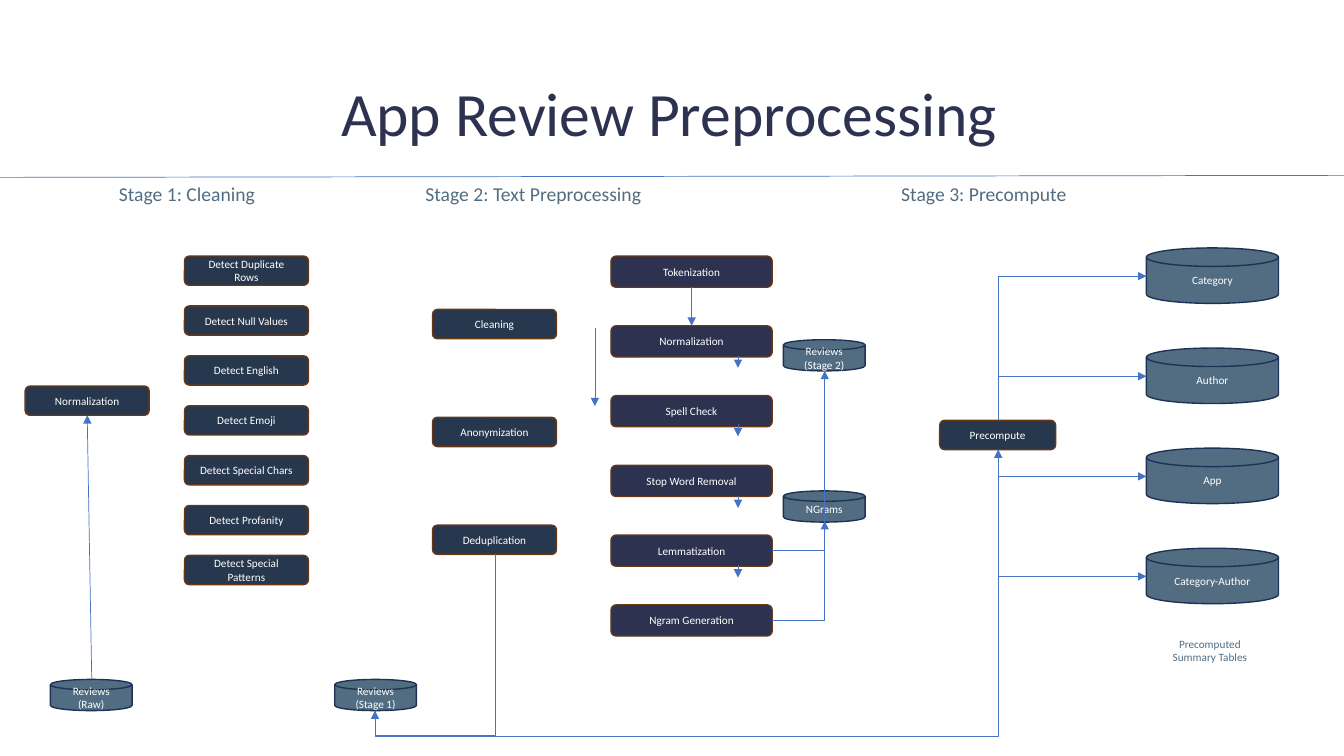
from pptx import Presentation
from pptx.dml.color import RGBColor
from pptx.enum.shapes import MSO_CONNECTOR as Link, MSO_SHAPE as Form
from pptx.enum.text import MSO_ANCHOR as Anchor, MSO_AUTO_SIZE as AutoSize, PP_ALIGN as Align
from pptx.oxml.ns import qn
from pptx.util import Inches, Pt
from lxml.etree import SubElement

WIDTH, HEIGHT = 13.33, 7.5
NAVY, INDIGO, SLATE = "27374D", "2D3250", "526D82"
BROWN, DARK_BLUE, BLUE, WHITE = "683715", "1E3256", "4472C4", "FFFFFF"

deck = Presentation()
deck.slide_width, deck.slide_height = Inches(WIDTH), Inches(HEIGHT)
page = deck.slides.add_slide(deck.slide_layouts[6])


def write(box, text, size, colour, align=Align.CENTER, spacing=1.0):
    frame = box.text_frame
    for index, words in enumerate(text.split("\n")):
        para = frame.add_paragraph() if index else frame.paragraphs[0]
        para.alignment, para.line_spacing = align, spacing
        span = para.add_run()
        span.text = words
        look = {"name": "Calibri", "size": Pt(size)}
        for name, value in look.items():
            setattr(span.font, name, value)
        span.font.color.rgb = RGBColor.from_string(colour)


def connect(start, end, bend=None, upright=False, shift=None, arrow=True):
    (x1, y1), (x2, y2) = start, end
    if upright:
        middle_x, middle_y = (x1 + x2) / 2, (y1 + y2) / 2
        half_x, half_y = (x2 - x1) / 2, (y2 - y1) / 2
        x1, x2 = middle_x - half_y, middle_x + half_y
        y1, y2 = middle_y + half_x, middle_y - half_x
    kind = Link.ELBOW if bend else Link.STRAIGHT
    line = page.shapes.add_connector(kind, *map(Inches, (x1, y1, x2, y2)))
    line.line.color.rgb = RGBColor.from_string(BLUE)
    line.line.width = Pt(0.5)
    props = line._element.spPr
    if arrow:
        SubElement(props.find(qn("a:ln")), qn("a:tailEnd"), type="triangle")
    SubElement(props, qn("a:effectLst"))
    shape = props.find(qn("a:prstGeom"))
    if bend:
        shape.set("prst", bend)
    if shift is not None:
        guides = shape.find(qn("a:avLst"))
        SubElement(guides, qn("a:gd"), name="adj1", fmla=f"val {shift}")
    if upright:
        props.find(qn("a:xfrm")).set("rot", "5400000")
    return line


title = page.shapes.add_textbox(*map(Inches, (0.89, 0.43, 11.5, 1.45)))
title.text_frame.word_wrap = True
title.text_frame.vertical_anchor = Anchor.MIDDLE
write(title, "App Review Preprocessing", 44, INDIGO, spacing=0.9)
connect((0, 1.76), (WIDTH, 1.74), arrow=False)

captions = [
    (1.08, 1.76, 1.7, 0.34, "Stage 1: Cleaning", 14, Align.LEFT),
    (4.12, 1.76, 2.58, 0.34, "Stage 2: Text Preprocessing", 14, Align.LEFT),
    (8.84, 1.76, 2, 0.34, "Stage 3: Precompute", 14, Align.LEFT),
    (11.49, 6.27, 1.02, 0.37, "Precomputed\nSummary Tables", 8, Align.CENTER),
]
for left, top, width, height, text, size, align in captions:
    caption = page.shapes.add_textbox(*map(Inches, (left, top, width, height)))
    caption.text_frame.word_wrap = False
    caption.text_frame.auto_size = AutoSize.SHAPE_TO_FIT_TEXT
    write(caption, text, size, SLATE, align)

task = (Form.ROUNDED_RECTANGLE, 1.23, 0.29, NAVY, BROWN)
step = (Form.ROUNDED_RECTANGLE, 1.6, 0.31, INDIGO, BROWN)
gate = (Form.ROUNDED_RECTANGLE, 1.15, 0.29, NAVY, BROWN)
store = (Form.FLOWCHART_MAGNETIC_DISK, 0.81, 0.31, SLATE, DARK_BLUE)
table = (Form.FLOWCHART_MAGNETIC_DISK, 1.31, 0.55, SLATE, DARK_BLUE)
columns = {
    "entry": (task, 0.25, 3.83, 0, ["Normalization"]),
    "checks": (task, 1.83, 2.54, 0.495, [
        "Detect Duplicate Rows", "Detect Null Values", "Detect English", "Detect Emoji",
        "Detect Special Chars", "Detect Profanity", "Detect Special Patterns"]),
    "cleanup": (task, 4.29, 3.07, 1.07, ["Cleaning", "Anonymization", "Deduplication"]),
    "steps": (step, 6.06, 2.54, 0.692, [
        "Tokenization", "Normalization", "Spell Check",
        "Stop Word Removal", "Lemmatization", "Ngram Generation"]),
    "precompute": (gate, 9.32, 4.17, 0, ["Precompute"]),
    "raw": (store, 0.5, 6.74, 0, ["Reviews (Raw)"]),
    "stage 1": (store, 3.32, 6.74, 0, ["Reviews\n(Stage 1)"]),
    "stage 2": (store, 7.77, 3.37, 1.5, ["Reviews\n(Stage 2)", "NGrams"]),
    "tables": (table, 11.37, 2.46, 0.993, ["Category", "Author", "App", "Category-Author"]),
}
boxes = {}
for column, (style, left, top, pitch, labels) in columns.items():
    form, width, height, fill, border = style
    for row, label in enumerate(labels):
        place = (left, top + row * pitch, width, height)
        box = page.shapes.add_shape(form, *map(Inches, place))
        box.shadow.inherit = False
        box.fill.solid()
        box.fill.fore_color.rgb = RGBColor.from_string(fill)
        box.line.color.rgb = RGBColor.from_string(border)
        box.line.width = Pt(1)
        box.text_frame.vertical_anchor = Anchor.MIDDLE
        write(box, label, 8, WHITE)
        boxes[column, row] = box

intake = connect((0.91, 6.74), (0.86, 4.12))
intake.end_connect(boxes["entry", 0], 2)
first_step = connect((6.86, 2.84), (6.86, 3.23))
first_step.begin_connect(boxes["steps", 0], 2)
first_step.end_connect(boxes["steps", 1], 0)
connect((5.9, 3.25), (5.9, 4.03))
for top in (3.53, 4.21, 4.92, 5.61):
    connect((7.32, top), (7.32, top + 0.12))

for start, end in [((7.66, 5.46), (8.18, 3.68)), ((7.66, 6.15), (8.18, 5.17))]:
    connect(start, end, "bentConnector2")
for row, start_y in enumerate((4.17, 4.17, 4.46, 4.46)):
    connect((9.9, start_y), (11.37, 2.74 + row * 0.993), "bentConnector2", upright=True)
connect((3.72, 7.05), (9.9, 4.46), "bentConnector3", upright=True, shift=-9700)
connect((4.91, 5.5), (3.72, 7.05), "bentConnector3", upright=True, shift=116100)

deck.save("out.pptx")
